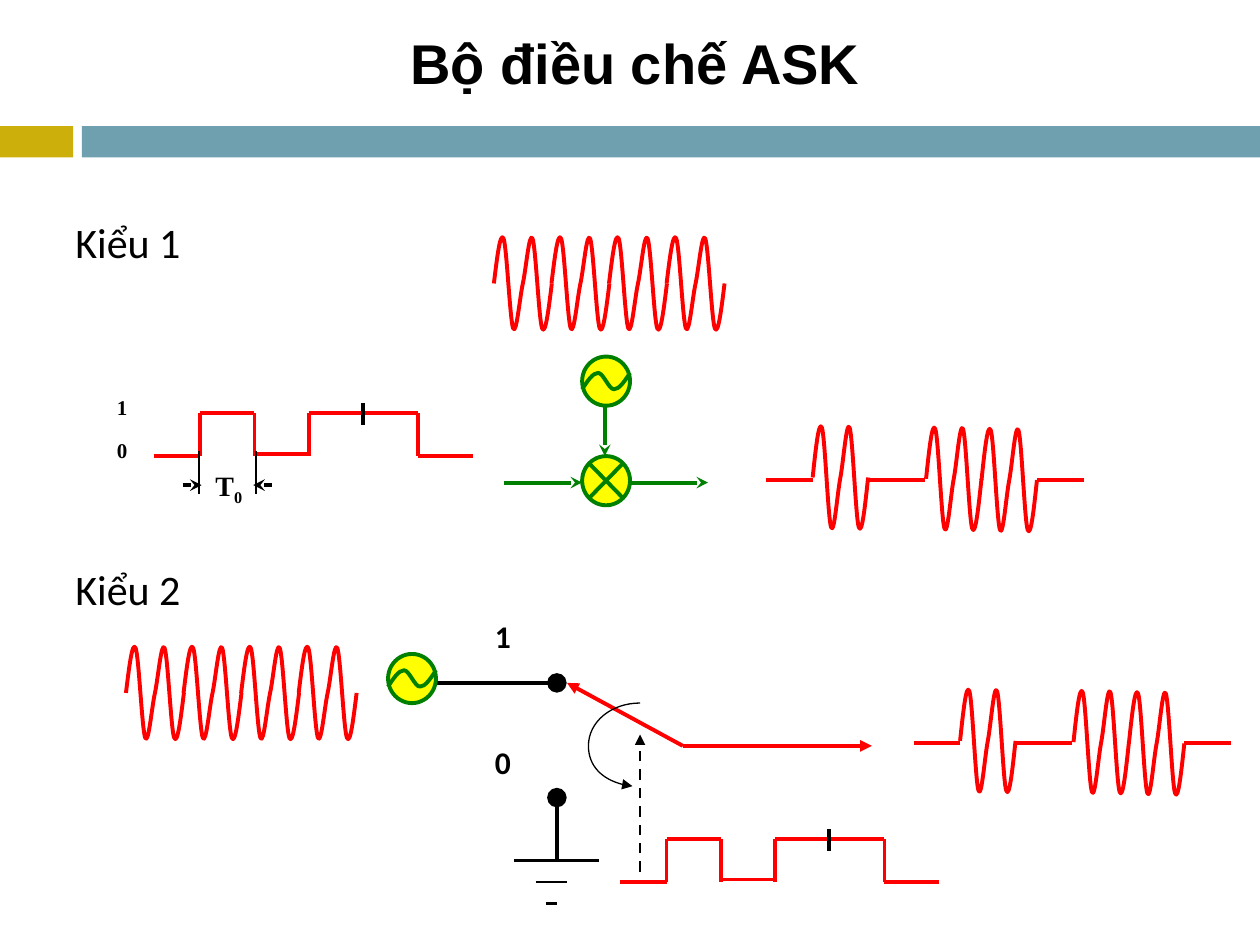
import pptx
import pptx.dml.color
import pptx.enum.dml
import pptx.enum.shapes
import pptx.enum.text
import pptx.oxml
import pptx.oxml.ns
import pptx.util

Inches = pptx.util.Inches
Pt = pptx.util.Pt
Shape = pptx.enum.shapes.MSO_SHAPE

BLACK, RED, GREEN, YELLOW = "000000", "FF0000", "008000", "FFFF00"
WAVE_HEIGHTS = [0, -0.25, -0.5, -0.43, -0.36, 0.36, 0.43, 0.5, 0.14, 0,
                -0.14, -0.5, -0.43, -0.36, 0.36, 0.43, 0.5, 0.25, 0]
SYMBOL_HEIGHTS = [1, 0.5, 0, 0, 0, 1, 1, 1, 0.5, 0]


def color(value):
    return pptx.dml.color.RGBColor.from_string(value)


class Diagram:
    def __init__(self, slide):
        self.slide = slide
        self.shapes = slide.shapes

    def start_group(self):
        self.shapes = self.slide.shapes.add_group_shape().shapes

    def end_group(self):
        self.shapes = self.slide.shapes

    def outline(self, shape, line, width, tail=None, size="med"):
        shape.line.color.rgb = color(line)
        shape.line.width = Pt(width)
        if tail:
            end = pptx.oxml.parse_xml(
                f'<a:tailEnd {pptx.oxml.ns.nsdecls("a")} type="{tail}" w="{size}" len="{size}"/>')
            shape.line._get_or_add_ln().append(end)

    def paint(self, shape, fill, line, width=2.25, tail=None):
        shape.shadow.inherit = False
        if fill:
            shape.fill.solid()
            shape.fill.fore_color.rgb = color(fill)
        else:
            shape.fill.background()
        if line:
            self.outline(shape, line, width, tail)
        else:
            shape.line.fill.background()

    def box(self, kind, left, top, width, height, fill, line=None):
        shape = self.shapes.add_shape(
            kind, Inches(left), Inches(top), Inches(width), Inches(height))
        self.paint(shape, fill, line)

    def line(self, x1, y1, x2, y2, stroke=BLACK, width=2.25, tail=None, size="med", dashed=False):
        connector = self.shapes.add_connector(
            pptx.enum.shapes.MSO_CONNECTOR.STRAIGHT,
            Inches(x1), Inches(y1), Inches(x2), Inches(y2))
        if dashed:
            connector.line.dash_style = pptx.enum.dml.MSO_LINE.DASH
        self.outline(connector, stroke, width, tail, size)
        connector._element.spPr.append(
            pptx.oxml.parse_xml(f'<a:effectLst {pptx.oxml.ns.nsdecls("a")}/>'))

    def curve(self, points, stroke, width=2.25, fill=None, tail=None):
        points = [(Inches(x), Inches(y)) for x, y in points]
        builder = self.shapes.build_freeform(*points[0])
        builder.add_line_segments(points[1:], close=False)
        shape = builder.convert_to_shape()
        segments = list(shape._element.iter(pptx.oxml.ns.qn("a:lnTo")))
        outline = segments[0].getparent()
        for start in range(0, len(segments), 3):
            bezier = pptx.oxml.parse_xml(f'<a:cubicBezTo {pptx.oxml.ns.nsdecls("a")}/>')
            outline.append(bezier)
            for segment in segments[start:start + 3]:
                bezier.append(segment[0])
                outline.remove(segment)
        self.paint(shape, fill, stroke, width, tail)

    def text(self, content, left, top, width, height, size, font,
             bold=True, centered=False, margin=0.1, subscript=None):
        frame = self.shapes.add_textbox(
            Inches(left), Inches(top), Inches(width), Inches(height)).text_frame
        frame.word_wrap = True
        frame.margin_left = frame.margin_right = Inches(margin)
        paragraph = frame.paragraphs[0]
        paragraph.add_run().text = content
        paragraph.font.size = Pt(size)
        paragraph.font.name = font
        paragraph.font.bold = bold
        paragraph.font.color.rgb = color(BLACK)
        if centered:
            paragraph.alignment = pptx.enum.text.PP_ALIGN.CENTER
            frame.vertical_anchor = pptx.enum.text.MSO_ANCHOR.MIDDLE
        if subscript:
            run = paragraph.add_run()
            run.text = subscript
            run.font._element.set("baseline", "-25000")

    def wave(self, left, middle, width, height):
        last = len(WAVE_HEIGHTS) - 1
        self.curve([(left + width * i / last, middle + height * y)
                    for i, y in enumerate(WAVE_HEIGHTS)], RED)

    def carrier(self, left, middle):
        self.start_group()
        for index in range(4):
            self.wave(left + 0.457 * index, middle, 0.46, 0.83)
        self.end_group()

    def modulated(self, left, middle):
        self.start_group()
        for start, end in [(0, 0.37), (0.82, 1.26), (2.15, 2.52)]:
            self.line(left + start, middle, left + end, middle, RED)
        for start, shift in [(0.37, -0.02), (1.27, -0.01), (1.71, 0)]:
            self.wave(left + start, middle + shift, 0.44, 0.92)
        self.end_group()

    def bits(self, left, top):
        low = top + 0.34
        for start, end, level in [(0, 0.37, low), (0.37, 0.8, top), (0.81, 1.25, top + 0.32),
                                  (1.23, 1.66, top), (1.66, 2.1, top), (2.1, 2.53, low)]:
            self.line(left + start, level, left + end, level, RED)
        for edge in [0.37, 0.8, 1.23, 2.1]:
            self.line(left + edge, top, left + edge, low, RED)
        self.line(left + 1.66, top - 0.08, left + 1.66, top + 0.09)

    def oscillator(self, left, top):
        self.box(Shape.OVAL, left, top, 0.38, 0.39, YELLOW, GREEN)
        self.curve([(left + 0.38 * i / 9, top + 0.13 * y + 0.16 - 0.03)
                    for i, y in enumerate(SYMBOL_HEIGHTS)], GREEN, fill=YELLOW)


presentation = pptx.Presentation()
presentation.slide_width = Inches(10)
presentation.slide_height = Inches(7.5)
diagram = Diagram(presentation.slides.add_slide(presentation.slide_layouts[6]))

diagram.box(Shape.RECTANGLE, 0, 1, 0.58, 0.25, "CCAF0A")
diagram.box(Shape.RECTANGLE, 0.65, 1, 9.35, 0.25, "6EA0B0")
diagram.text("Bộ điều chế ASK", 0.25, 0.08, 9.58, 0.82, 32, "Arial", centered=True)

for label, top in [("Kiểu 1", 1.67), ("Kiểu 2", 4.42)]:
    diagram.text(label, 0.5, top, 2, 0.5, 24, "Calibri", bold=False)

diagram.start_group()
diagram.box(Shape.FLOWCHART_SUMMING_JUNCTION, 4.62, 3.62, 0.38, 0.39, YELLOW, GREEN)
diagram.oscillator(4.62, 2.83)
for ends in [(4.8, 3.23, 4.8, 3.62), (4, 3.83, 4.62, 3.83), (5, 3.83, 5.62, 3.83)]:
    diagram.line(*ends, GREEN, tail="stealth")
diagram.end_group()

for left, middle in [(3.92, 2.25), (1, 5.5)]:
    diagram.carrier(left, middle)
for left, middle in [(6.08, 3.81), (7.25, 5.9)]:
    diagram.modulated(left, middle)

diagram.start_group()
diagram.text("T", 1.71, 3.67, 0.35, 0.51, 16, "Times New Roman", margin=0, subscript="0")
for level, top in [("1", 3.08), ("0", 3.42)]:
    diagram.text(level, 0.83, top, 0.36, 0.51, 12, "Times New Roman")
diagram.bits(1.22, 3.28)
for start, end, edge in [(1.45, 1.6, 1.58), (2.16, 2.01, 2.03)]:
    diagram.line(start, 3.85, end, 3.85, tail="stealth")
    diagram.line(edge, 3.58, edge, 3.92, width=1)
diagram.end_group()

diagram.line(3.42, 5.42, 4.42, 5.42, tail="oval", size="lg")
diagram.line(4.42, 6.83, 4.42, 6.33, tail="oval", size="lg")
diagram.oscillator(3.08, 5.19)
for start, end, level in [(4.08, 4.75, 6.83), (4.25, 4.5, 7), (4.33, 4.42, 7.17)]:
    diagram.line(start, level, end, level, width=1.5)
for end_x, end_y in [(4.5, 5.42), (6.92, 5.92)]:
    diagram.line(5.42, 5.92, end_x, end_y, RED, tail="triangle")
diagram.curve([(5.08, 5.58), (4.85, 5.58), (4.67, 5.73), (4.67, 5.92),
               (4.67, 6.08), (4.81, 6.22), (5.02, 6.24)], BLACK, 0.75, tail="triangle")
for position, top in [("1", 4.85), ("0", 5.85)]:
    diagram.text(position, 3.83, top, 1.17, 0.4, 18, "Calibri")
diagram.line(5.08, 6.92, 5.08, 5.83, width=1.5, tail="triangle", dashed=True)
diagram.start_group()
diagram.bits(4.92, 6.66)
diagram.end_group()

presentation.save("out.pptx")
